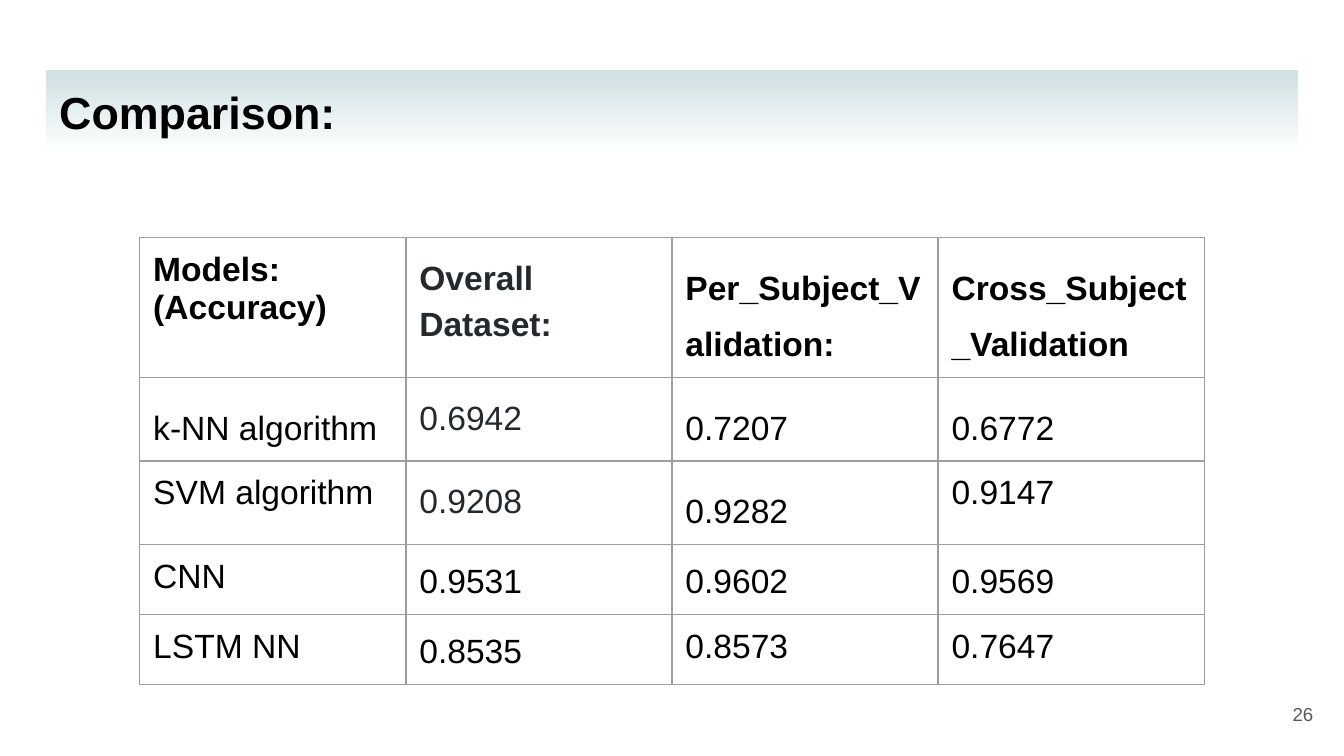
from lxml.etree import SubElement
from pptx import Presentation
from pptx.dml.color import RGBColor
from pptx.enum.text import MSO_ANCHOR, MSO_AUTO_SIZE, PP_ALIGN
from pptx.oxml.ns import qn
from pptx.util import Inches, Pt

BLACK = RGBColor(0x00, 0x00, 0x00)
CHARCOAL = RGBColor(0x24, 0x29, 0x2E)
GRAY = RGBColor(0x59, 0x59, 0x59)
WHITE = RGBColor(0xFF, 0xFF, 0xFF)
PALE_TEAL = RGBColor(0xD0, 0xE0, 0xE3)
BORDER = RGBColor(0x9E, 0x9E, 0x9E)
FONT = "Arial"

# Content
TITLE = "Comparison:"
PAGE_NUMBER = "26"
ROWS = [
    ["Models:\n(Accuracy)", "Overall Dataset:", "Per_Subject_Validation:", "Cross_Subject_Validation"],
    ["k-NN algorithm", "0.6942", "0.7207", "0.6772"],
    ["SVM algorithm", "0.9208", "0.9282", "0.9147"],
    ["CNN", "0.9531", "0.9602", "0.9569"],
    ["LSTM NN", "0.8535", "0.8573", "0.7647"],
]
LINE_SPACING = [
    [None, 1.23, 1.5, 1.5],
    [1.5, 1.23, 1.5, 1.5],
    [None, 1.23, 1.5, None],
    [None, 1.15, 1.15, 1.15],
    [None, 1.15, None, None],
]
ROW_HEIGHTS = [1.04, 0.62, 0.62, 0.52, 0.52]
COLUMN_WIDTH = 1.98


def set_font(para, size, color, bold=False):
    font = para.font
    font.name, font.size, font.bold = FONT, Pt(size), bold
    font.color.rgb = color


def set_margins(target):
    target.margin_left = target.margin_right = Inches(0.1)
    target.margin_top = target.margin_bottom = Inches(0.1)


def set_borders(cell):
    properties = cell._tc.get_or_add_tcPr()
    for index, side in enumerate(("lnL", "lnR", "lnT", "lnB")):
        line = properties.makeelement(qn(f"a:{side}"), {"w": str(Pt(0.75))})
        fill = SubElement(line, qn("a:solidFill"))
        SubElement(fill, qn("a:srgbClr"), val=str(BORDER))
        properties.insert(index, line)


# Widescreen page, 16:9
deck = Presentation()
deck.slide_width = Inches(10)
deck.slide_height = deck.slide_width * 9 // 16
page = deck.slides.add_slide(deck.slide_layouts[5])

# Title band
title = page.shapes.title
title.left, title.top = Inches(0.34), Inches(0.52)
title.width, title.height = Inches(9.32), Inches(0.62)
title.fill.gradient()
title.fill.gradient_angle = 270
for stop, color in zip(title.fill.gradient_stops, (PALE_TEAL, WHITE)):
    stop.color.rgb = color
frame = title.text_frame
frame.text = TITLE
frame.auto_size = MSO_AUTO_SIZE.NONE
frame.vertical_anchor = MSO_ANCHOR.MIDDLE
set_margins(frame)
frame.paragraphs[0].alignment = PP_ALIGN.LEFT
set_font(frame.paragraphs[0], 24, BLACK, True)

# Accuracy table
column_count = len(ROWS[0])
table = page.shapes.add_table(
    len(ROWS), column_count, Inches(1.04), Inches(1.77),
    Inches(COLUMN_WIDTH * column_count), Inches(sum(ROW_HEIGHTS))).table
table.first_row = table.horz_banding = False
for column in table.columns:
    column.width = Inches(COLUMN_WIDTH)
for row_index, (texts, spacings, height) in enumerate(zip(ROWS, LINE_SPACING, ROW_HEIGHTS)):
    table.rows[row_index].height = Inches(height)
    for column_index, (text, spacing) in enumerate(zip(texts, spacings)):
        cell = table.cell(row_index, column_index)
        cell.text = text
        cell.fill.background()
        set_margins(cell)
        set_borders(cell)
        for para in cell.text_frame.paragraphs:
            set_font(para, 18, CHARCOAL if spacing == 1.23 else BLACK, row_index == 0)
            if spacing:
                para.line_spacing = spacing
            if spacing == 1.15:
                para.space_after = Pt(12)
first_model = table.cell(1, 0).text_frame.paragraphs[0]
first_model.alignment = PP_ALIGN.JUSTIFY
first_model.space_after = Pt(12)

# Page number
box = page.shapes.add_textbox(Inches(9.27), Inches(5.1), Inches(0.6), Inches(0.43))
frame = box.text_frame
frame.word_wrap = True
frame.vertical_anchor = MSO_ANCHOR.MIDDLE
set_margins(frame)
frame.text = PAGE_NUMBER
frame.paragraphs[0].alignment = PP_ALIGN.RIGHT
set_font(frame.paragraphs[0], 10, GRAY)

deck.save("out.pptx")
